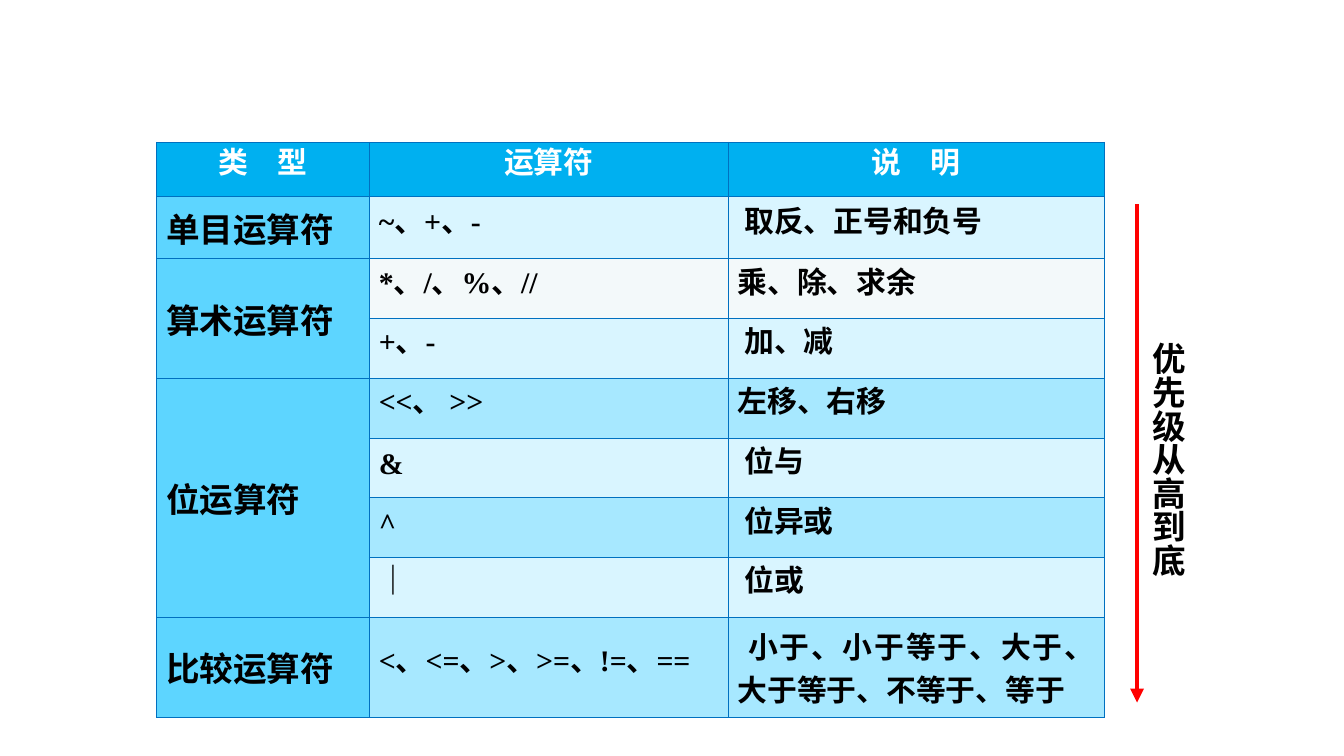
from dataclasses import dataclass

from lxml import etree
from pptx import Presentation
from pptx.dml.color import RGBColor
from pptx.enum.shapes import MSO_CONNECTOR
from pptx.enum.text import MSO_ANCHOR, MSO_AUTO_SIZE, PP_ALIGN
from pptx.oxml.ns import qn
from pptx.util import Cm, Pt

STRAIGHT = MSO_CONNECTOR.STRAIGHT
MIDDLE = MSO_ANCHOR.MIDDLE
FIT_SHAPE = MSO_AUTO_SIZE.SHAPE_TO_FIT_TEXT
LEFT, CENTER, JUSTIFY = PP_ALIGN.LEFT, PP_ALIGN.CENTER, PP_ALIGN.JUSTIFY

HEADER_FILL, TYPE_FILL = "00B0F0", "5DD5FF"
PALE, MID, GREY = "D9F5FF", "A7E8FF", "F3F9FA"
GRID, ARROW, BLACK, WHITE = "0070C0", "FF0000", "000000", "FFFFFF"


@dataclass
class CellStyle:
    size: int
    font: str
    color: str
    align: PP_ALIGN
    spacing: Pt | None = Pt(14)


@dataclass
class Level:
    operators: str
    meaning: str
    fill: str
    height: float = 1.13
    spacing: Pt | None = Pt(14)


@dataclass
class OperatorType:
    name: str
    levels: list[Level]


HEADER = CellStyle(16, "Arial", WHITE, CENTER)
TYPE_NAME = CellStyle(18, "Arial", BLACK, LEFT, None)

HEADINGS = ["类　型", "运算符", "说　明"]
COLUMN_WIDTHS = [4.02, 6.78, 7.11]
HEADER_HEIGHT = 1.02
OPERATOR_TYPES = [
    OperatorType("单目运算符", [Level("~、+、-", " 取反、正号和负号", PALE, 1.02)]),
    OperatorType("算术运算符", [
        Level("*、/、%、//", "乘、除、求余", GREY),
        Level("+、-", " 加、减", PALE),
    ]),
    OperatorType("位运算符", [
        Level("<<、 >>", "左移、右移", MID),
        Level("&", " 位与", PALE),
        Level("^", " 位异或", MID),
        Level("｜", " 位或", PALE),
    ]),
    OperatorType("比较运算符", [
        Level("<、<=、>、>=、!=、==",
              " 小于、小于等于、大于、大于等于、不等于、等于", MID, 1.8, None),
    ]),
]


def rgb(value: str) -> RGBColor:
    return RGBColor.from_string(value)


def apply(target, values: dict) -> None:
    for name, value in values.items():
        setattr(target, name, value)


def write(paragraph, text: str, style: CellStyle) -> None:
    run = paragraph.add_run()
    run.text = text
    apply(paragraph, {"alignment": style.align, "line_spacing": style.spacing})
    apply(run.font, {"size": Pt(style.size), "name": style.font, "bold": True})
    run.font.color.rgb = rgb(style.color)


def draw_cell_frame(cell, fill: str) -> None:
    apply(cell, {
        "margin_left": Cm(0.18), "margin_right": Cm(0.18),
        "margin_top": Cm(0.13), "margin_bottom": Cm(0.13),
        "vertical_anchor": MIDDLE,
    })
    properties = cell._tc.get_or_add_tcPr()
    for side in ("lnL", "lnR", "lnT", "lnB"):
        border = etree.SubElement(properties, qn(f"a:{side}"), w=str(Pt(0.45)))
        solid = etree.SubElement(border, qn("a:solidFill"))
        etree.SubElement(solid, qn("a:srgbClr"), val=GRID)
    cell.fill.solid()
    cell.fill.fore_color.rgb = rgb(fill)


def fill_cell(cell, text: str, style: CellStyle) -> None:
    write(cell.text_frame.paragraphs[0], text, style)


def draw_operator_table(slide) -> None:
    levels = [level for group in OPERATOR_TYPES for level in group.levels]
    heights = [HEADER_HEIGHT] + [level.height for level in levels]
    table = slide.shapes.add_table(
        len(heights), len(COLUMN_WIDTHS), Cm(2.96), Cm(2.69),
        Cm(sum(COLUMN_WIDTHS)), Cm(sum(heights))).table
    for column, width in zip(table.columns, COLUMN_WIDTHS):
        column.width = Cm(width)
    for row, height in zip(table.rows, heights):
        row.height = Cm(height)

    # Header row
    for column, heading in enumerate(HEADINGS):
        draw_cell_frame(table.cell(0, column), HEADER_FILL)
        fill_cell(table.cell(0, column), heading, HEADER)

    # One row per precedence level
    for row, level in enumerate(levels, start=1):
        draw_cell_frame(table.cell(row, 0), TYPE_FILL)
        for column, text in ((1, level.operators), (2, level.meaning)):
            spacing = Pt(14) if column == 1 else level.spacing
            style = CellStyle(16, "Times New Roman", BLACK, JUSTIFY, spacing)
            draw_cell_frame(table.cell(row, column), level.fill)
            fill_cell(table.cell(row, column), text, style)

    # Type names, merged over their levels
    first = 1
    for group in OPERATOR_TYPES:
        last = first + len(group.levels) - 1
        if last > first:
            table.cell(first, 0).merge(table.cell(last, 0))
        fill_cell(table.cell(first, 0), group.name, TYPE_NAME)
        first = last + 1


def draw_priority_arrow(slide) -> None:
    arrow = slide.shapes.add_connector(
        STRAIGHT, Cm(21.49), Cm(3.86), Cm(21.49), Cm(13.28))
    arrow.line.color.rgb = rgb(ARROW)
    arrow.line.width = Pt(2.5)
    etree.SubElement(arrow.line._get_or_add_ln(), qn("a:tailEnd"), type="triangle")
    etree.SubElement(arrow._element.spPr, qn("a:effectLst"))


def draw_priority_label(slide) -> None:
    label = slide.shapes.add_textbox(Cm(21.31), Cm(6.22), Cm(1.27), Cm(4.7))
    frame = label.text_frame
    apply(frame, {
        "margin_left": Cm(0.13), "margin_right": Cm(0.13),
        "margin_top": Cm(0.25), "margin_bottom": Cm(0.25),
        "word_wrap": False, "auto_size": FIT_SHAPE,
    })
    frame._txBody.bodyPr.set("vert", "eaVert")
    write(frame.paragraphs[0], "优先级从高到底", TYPE_NAME)


def main() -> None:
    presentation = Presentation()
    apply(presentation, {"slide_width": Cm(25.4), "slide_height": Cm(14.29)})
    slide = presentation.slides.add_slide(presentation.slide_layouts[6])
    draw_priority_arrow(slide)
    draw_priority_label(slide)
    draw_operator_table(slide)
    presentation.save("out.pptx")


if __name__ == "__main__":
    main()
